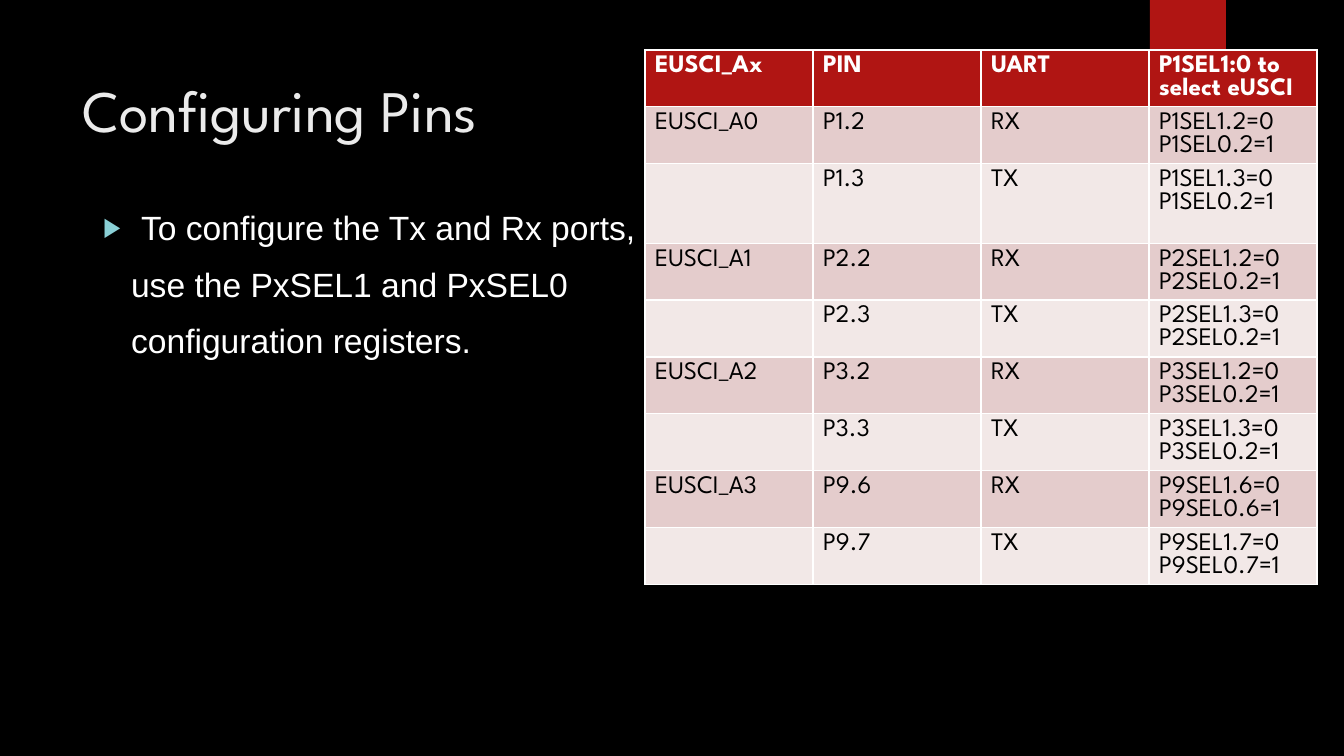
from lxml.etree import SubElement
from pptx import Presentation
from pptx.dml.color import RGBColor
from pptx.enum.shapes import MSO_SHAPE
from pptx.enum.text import MSO_ANCHOR, MSO_AUTO_SIZE, PP_ALIGN
from pptx.oxml.ns import qn
from pptx.util import Pt

COLORS = {
    "background": "000000",
    "accent": "B01513",
    "title": "EBEBEB",
    "white": "FFFFFF",
    "bullet": "8AD0D6",
    "band_dark": "E4CCCC",
    "band_light": "F2E8E7",
    "cell_text": "000000",
}
HEADING_FONT = "League Spartan"
EMU_PER_PX = 914400 / 100.8


def px(length):
    return round(length * EMU_PER_PX)


def set_font(paragraph, name, size, color, bold=False):
    font = paragraph.font
    font.name, font.size, font.bold = name, Pt(size), bold
    font.color.rgb = RGBColor.from_string(COLORS[color])


presentation = Presentation()
presentation.slide_width, presentation.slide_height = px(1344), px(756)
slide = presentation.slides.add_slide(presentation.slide_layouts[1])
slide.background.fill.solid()
slide.background.fill.fore_color.rgb = RGBColor.from_string(COLORS["background"])

# Red tab at the top edge
tab = slide.shapes.add_shape(MSO_SHAPE.RECTANGLE, px(1150), 0, px(76), px(126))
tab.shadow.inherit = False
tab.fill.solid()
tab.fill.fore_color.rgb = RGBColor.from_string(COLORS["accent"])
tab.line.fill.background()

# Title
title = slide.shapes.title
title.left, title.top, title.width, title.height = px(72), px(50), px(1037), px(154)
heading = title.text_frame
heading.text = "Configuring Pins"
heading.auto_size = MSO_AUTO_SIZE.NONE
heading.vertical_anchor = MSO_ANCHOR.TOP
heading.margin_top = px(24)
heading.paragraphs[0].alignment = PP_ALIGN.LEFT
set_font(heading.paragraphs[0], HEADING_FONT, 42, "title")

# Instruction: a bulleted first line and two indented lines
body = slide.placeholders[1]
body.left, body.top, body.width, body.height = px(93), px(202), px(606), px(480)
instruction = body.text_frame
instruction.text = (
    "To configure the Tx and Rx ports,\n"
    "use the PxSEL1 and PxSEL0\n"
    "configuration registers."
)
instruction.auto_size = MSO_AUTO_SIZE.NONE
instruction.vertical_anchor = MSO_ANCHOR.TOP
for number, line in enumerate(instruction.paragraphs):
    properties = line._p.get_or_add_pPr()
    if number == 0:
        properties.set("marL", str(px(38)))
        properties.set("indent", str(-px(38)))
        bullet_color = SubElement(properties, qn("a:buClr"))
        SubElement(bullet_color, qn("a:srgbClr"), val=COLORS["bullet"])
        SubElement(properties, qn("a:buSzPct"), val="80000")
        SubElement(properties, qn("a:buFont"), typeface="Arial")
        SubElement(properties, qn("a:buChar"), char="▶")
    else:
        properties.set("marL", str(px(28)))
        properties.set("indent", "0")
        SubElement(properties, qn("a:buNone"))
    line.space_before = Pt(11.5 if number else 0)
    set_font(line, "Arial", 24, "white")

# Pin table
pin_rows = [
    ("EUSCI_Ax", "PIN", "UART", "P1SEL1:0 to select eUSCI"),
    ("EUSCI_A0", "P1.2", "RX", "P1SEL1.2=0\nP1SEL0.2=1"),
    ("", "P1.3", "TX", "P1SEL1.3=0\nP1SEL0.2=1"),
    ("EUSCI_A1", "P2.2", "RX", "P2SEL1.2=0\nP2SEL0.2=1"),
    ("", "P2.3", "TX", "P2SEL1.3=0\nP2SEL0.2=1"),
    ("EUSCI_A2", "P3.2", "RX", "P3SEL1.2=0\nP3SEL0.2=1"),
    ("", "P3.3", "TX", "P3SEL1.3=0\nP3SEL0.2=1"),
    ("EUSCI_A3", "P9.6", "RX", "P9SEL1.6=0\nP9SEL0.6=1"),
    ("", "P9.7", "TX", "P9SEL1.7=0\nP9SEL0.7=1"),
]
row_heights = [56, 57, 80, 56, 57, 56, 57, 57, 56]
pin_table = slide.shapes.add_table(
    len(pin_rows), 4, px(645), px(50), px(4 * 168), px(sum(row_heights))
).table
for row, values in enumerate(pin_rows):
    pin_table.rows[row].height = px(row_heights[row])
    is_header = row == 0
    band = "accent" if is_header else "band_dark" if row % 2 else "band_light"
    for column, value in enumerate(values):
        cell = pin_table.cell(row, column)
        cell.text = value
        cell.fill.solid()
        cell.fill.fore_color.rgb = RGBColor.from_string(COLORS[band])
        for paragraph in cell.text_frame.paragraphs:
            set_font(paragraph, HEADING_FONT, 18,
                     "white" if is_header else "cell_text", is_header)

presentation.save("out.pptx")
